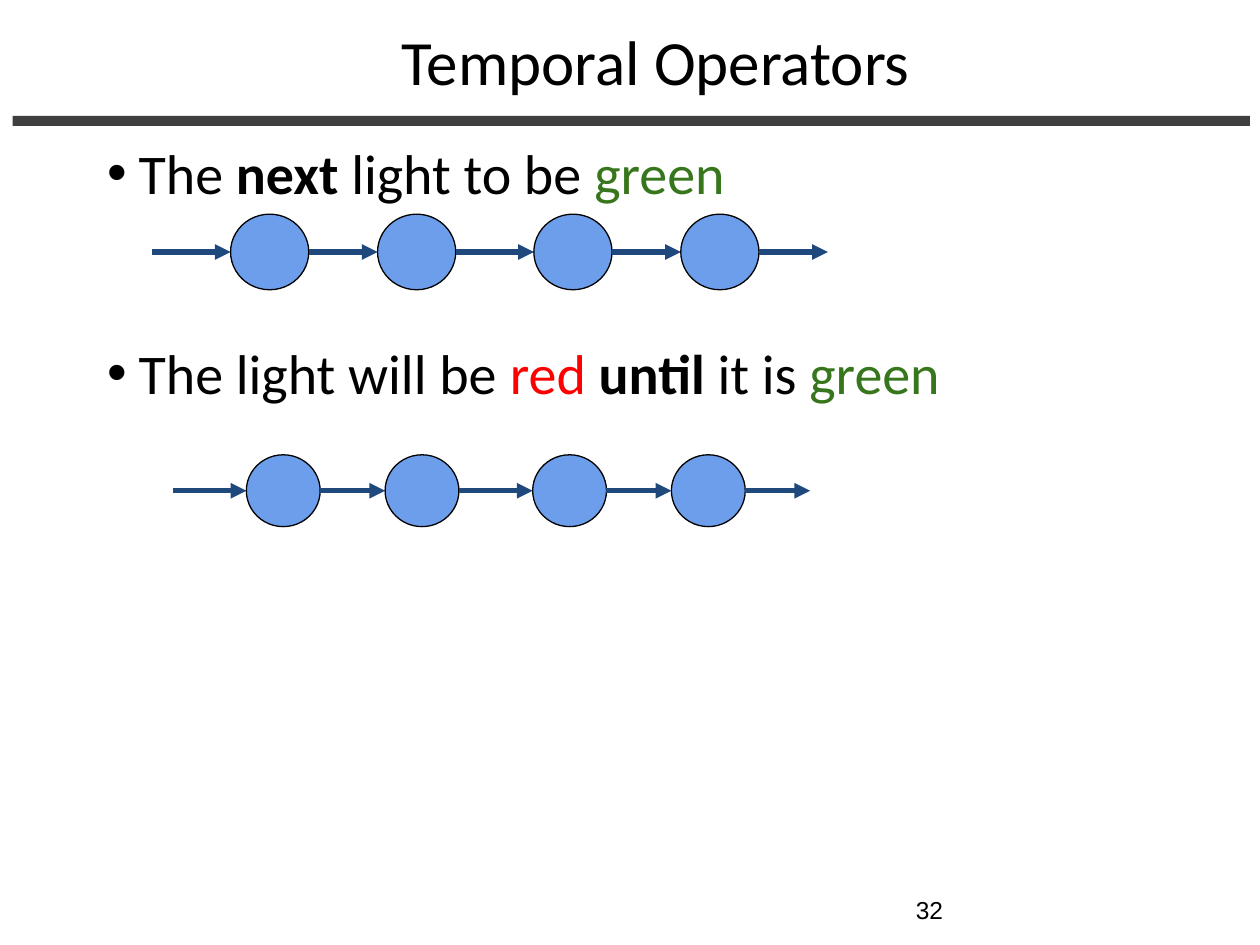
from lxml.etree import SubElement as Sub
from pptx import Presentation as Deck
from pptx.dml.color import RGBColor as Rgb
from pptx.enum.shapes import MSO_CONNECTOR as Wire, MSO_SHAPE as Form
from pptx.enum.text import MSO_ANCHOR as Anchor, MSO_AUTO_SIZE as Fit, PP_ALIGN as Align
from pptx.oxml.ns import qn
from pptx.util import Inches, Pt

BLACK, GREEN, RED = "000000", "38761D", "FF0000"
BAR, NAVY, BLUE = "3F3F3F", "1F497D", "6D9EEB"


def hue(code):
    return Rgb.from_string(code)


def write(par, text, size=32, color=BLACK, bold=False, face="Calibri"):
    run = par.add_run()
    run.text = text
    font = run.font
    font.size, font.bold, font.name = Pt(size), bold, face
    font.color.rgb = hue(color)


def place(shape, box):
    shape.left, shape.top, shape.width, shape.height = map(Inches, box)


def frame(shape, anchor, pad=0.1):
    text = shape.text_frame
    text.word_wrap, text.auto_size = True, Fit.NONE
    text.vertical_anchor = anchor
    text.margin_left = text.margin_right = Inches(0.1)
    text.margin_top = text.margin_bottom = Inches(pad)
    return text


def bullet(par):
    props = par._p.get_or_add_pPr()
    props.set("marL", str(Inches(0.5)))
    props.set("indent", str(Inches(-0.25)))
    tint = Sub(props, qn("a:buClr"))
    Sub(tint, qn("a:srgbClr"), val=BLACK)
    Sub(props, qn("a:buFont"), typeface="Arial")
    Sub(props, qn("a:buChar"), char="•")


def head(slide, box):
    title = slide.shapes.title
    place(title, box)
    par = frame(title, Anchor.MIDDLE).paragraphs[0]
    par.alignment = Align.CENTER
    write(par, "Temporal Operators", size=36)


def rule(slide, box):
    bar = slide.shapes.add_shape(Form.RECTANGLE, *map(Inches, box))
    bar.shadow.inherit = False
    bar.fill.solid()
    bar.fill.fore_color.rgb = hue(BAR)
    bar.line.fill.background()


def body(slide, box, items, gap):
    hold = slide.placeholders[1]
    place(hold, box)
    text = frame(hold, Anchor.TOP)
    for num, parts in enumerate(items):
        par = text.add_paragraph() if num else text.paragraphs[0]
        bullet(par)
        par.space_before = Pt(gap if num else 0)
        for words, style in parts:
            write(par, words, **style)


def arrow(group, start, end, mid):
    line = group.shapes.add_connector(Wire.STRAIGHT, *map(Inches, (start, mid, end, mid)))
    line.line.color.rgb = hue(NAVY)
    line.line.width = Pt(3)
    Sub(line.line._get_or_add_ln(), qn("a:tailEnd"), type="triangle")
    Sub(line._element.spPr, qn("a:effectLst"))


def state(group, box):
    dot = group.shapes.add_shape(Form.OVAL, *map(Inches, box))
    dot.shadow.inherit = False
    dot.fill.solid()
    dot.fill.fore_color.rgb = hue(BLUE)
    dot.line.color.rgb = hue(BLACK)
    dot.line.width = Pt(0.75)


def chain(slide, box):
    left, top, width, height = box
    group = slide.shapes.add_group_shape()
    steps = (1, 0.88, 1, 0.88, 0.88)
    dots = len(steps) - 1
    size = width / (sum(steps) + dots)
    for num, step in enumerate(steps):
        end = left + step * size
        arrow(group, left, end, top + height / 2)
        if num < dots:
            state(group, (end, top, size, height))
        left = end + size


def number(slide, box):
    label = slide.shapes.add_textbox(*map(Inches, box))
    par = frame(label, Anchor.MIDDLE, pad=0.05).paragraphs[0]
    write(par, "32", size=14, face="Arial")


def main():
    deck = Deck()
    deck.slide_width, deck.slide_height = Inches(10), Inches(7.5)
    slide = deck.slides.add_slide(deck.slide_layouts[1])
    plain, strong = {}, {"bold": True}
    green, red = {"color": GREEN}, {"color": RED}
    items = (
        (("The ", plain), ("next", strong), (" light to be ", plain), ("green", green)),
        (("The light will be ", plain), ("red ", red), ("until", strong),
         (" it is ", plain), ("green", green)),
    )
    rule(slide, (0.1, 0.92, 9.82, 0.08))
    head(slide, (1.58, 0.1, 7.25, 0.76))
    body(slide, (0.5, 1, 9, 5.02), items, gap=76)
    number(slide, (7.17, 7.02, 2.33, 0.4))
    chain(slide, (1.21, 1.7, 5.36, 0.6))
    chain(slide, (1.37, 3.61, 5.06, 0.57))
    deck.save("out.pptx")


if __name__ == "__main__":
    main()
